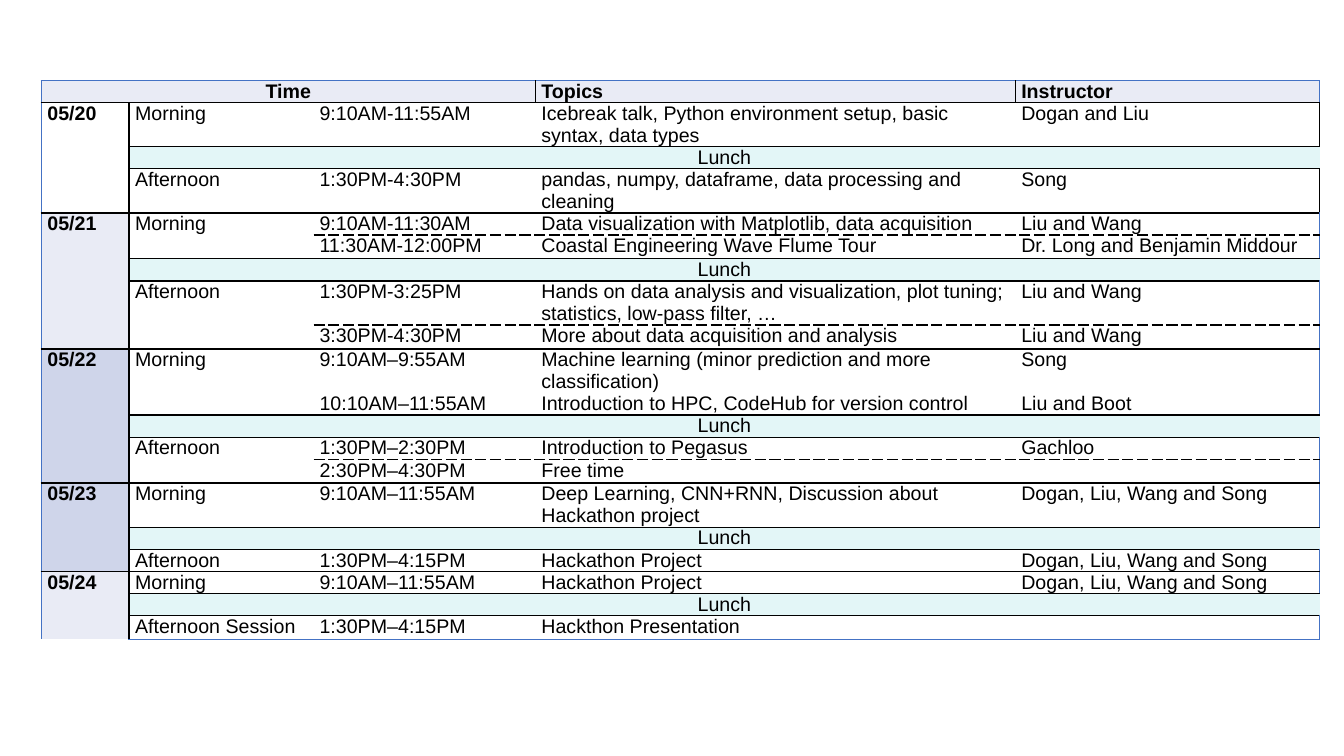
from collections import namedtuple
from math import ceil

from lxml.etree import SubElement
from pptx import Presentation
from pptx.dml.color import RGBColor
from pptx.enum.text import PP_ALIGN
from pptx.oxml.ns import qn
from pptx.util import Inches, Pt

BLACK = RGBColor(0x00, 0x00, 0x00)
WHITE = RGBColor(0xFF, 0xFF, 0xFF)
BLUE = RGBColor(0x44, 0x72, 0xC4)
PALE = RGBColor(0xE9, 0xEB, 0xF5)
LAVENDER = RGBColor(0xCF, 0xD5, 0xEA)
AQUA = RGBColor(0xE3, 0xF6, 0xF7)

FONT, SIZE = "Arial", Pt(14)
COLUMNS = [0.87, 1.83, 2.2, 4.76, 3.02]
DATE, SESSION, TIME, TOPIC, INSTRUCTOR = range(5)
LINE_HEIGHT = 0.21
TOPIC_CHARS = 52  # characters that fit on one line of the topic column
NO_STYLE = "{2D5ABB26-0587-4C30-8999-92F81FD0307C}"

Row = namedtuple("Row", "kind texts date_fill")

# date, fill of the date, morning slots, afternoon session name, afternoon slots
DAYS = [
    ("05/20", WHITE,
     [("9:10AM-11:55AM", "Icebreak talk, Python environment setup, basic syntax, data types",
       "Dogan and Liu")],
     "Afternoon",
     [("1:30PM-4:30PM", "pandas, numpy, dataframe, data processing and cleaning", "Song")]),
    ("05/21", PALE,
     [("9:10AM-11:30AM", "Data visualization with Matplotlib, data acquisition",
       "Liu and Wang"),
      ("11:30AM-12:00PM", "Coastal Engineering Wave Flume Tour",
       "Dr. Long and Benjamin Middour")],
     "Afternoon",
     [("1:30PM-3:25PM", "Hands on data analysis and visualization, plot tuning; "
       "statistics, low-pass filter, …", "Liu and Wang"),
      ("3:30PM-4:30PM", "More about data acquisition and analysis", "Liu and Wang")]),
    ("05/22", LAVENDER,
     [("9:10AM–9:55AM\n10:10AM–11:55AM",
       "Machine learning (minor prediction and more classification)\n"
       "Introduction to HPC, CodeHub for version control",
       "Song\nLiu and Boot")],
     "Afternoon",
     [("1:30PM–2:30PM", "Introduction to Pegasus", "Gachloo"),
      ("2:30PM–4:30PM", "Free time", "")]),
    ("05/23", LAVENDER,
     [("9:10AM–11:55AM", "Deep Learning, CNN+RNN, Discussion about Hackathon project",
       "Dogan, Liu, Wang and Song")],
     "Afternoon",
     [("1:30PM–4:15PM", "Hackathon Project", "Dogan, Liu, Wang and Song")]),
    ("05/24", PALE,
     [("9:10AM–11:55AM", "Hackathon Project", "Dogan, Liu, Wang and Song")],
     "Afternoon Session",
     [("1:30PM–4:15PM", "Hackthon Presentation", "")]),
]


def schedule_rows():
    """Flatten the days into table rows, with lunch between the sessions."""
    rows = [Row("header", ["Time", "", "", "Topics", "Instructor"], PALE)]
    for date, fill, morning, afternoon_name, afternoon in DAYS:
        for name, slots in (("Morning", morning), (afternoon_name, afternoon)):
            if slots is afternoon:
                rows.append(Row("lunch", ["", "Lunch", "", "", ""], fill))
            for index, slot in enumerate(slots):
                label = "" if index else name
                day = date if slots is morning and not index else ""
                rows.append(Row("more" if index else "slot", [day, label, *slot], fill))
    return rows


def line_above(rows, r, c):
    """Colour and dash of the line over a cell, or None."""
    if r in (0, len(rows)):
        return BLUE, "solid"
    if c == DATE:
        return (BLACK, "solid") if rows[r].texts[DATE] else None
    if rows[r].kind == "more":
        return None if c == SESSION else (BLACK, "sysDash")
    return BLACK, "solid"


def line_before(rows, r, c):
    """Colour and dash of the line left of a cell, or None."""
    if c == len(COLUMNS):
        return (BLACK if 1 <= r <= 3 else BLUE), "solid"
    if c == DATE:
        return BLUE, "solid"
    ruled = c >= TOPIC if rows[r].kind == "header" else c == SESSION
    return (BLACK, "solid") if ruled else None


def draw_borders(cell, rows, r, c):
    sides = {"a:lnL": line_before(rows, r, c), "a:lnR": line_before(rows, r, c + 1),
             "a:lnT": line_above(rows, r, c), "a:lnB": line_above(rows, r + 1, c)}
    properties = cell._tc.get_or_add_tcPr()
    for position, (tag, line) in enumerate(sides.items()):
        border = SubElement(properties, qn(tag), w=str(Pt(1)))
        if line:
            color, dash = line
            solid = SubElement(border, qn("a:solidFill"))
            SubElement(solid, qn("a:srgbClr"), val=str(color))
            SubElement(border, qn("a:prstDash"), val=dash)
        else:
            SubElement(border, qn("a:noFill"))
        properties.insert(position, border)


def write_cell(cell, text, bold, centred, gap):
    """Write the text; gap is the space before every later paragraph."""
    cell.margin_left = cell.margin_right = Inches(0.06)
    cell.margin_top = cell.margin_bottom = 0
    cell.text_frame.text = text
    for index, paragraph in enumerate(cell.text_frame.paragraphs):
        paragraph.alignment = PP_ALIGN.CENTER if centred else PP_ALIGN.LEFT
        if index:
            paragraph.space_before = gap
        for run in paragraph.runs:
            run.font.name, run.font.size = FONT, SIZE
            run.font.bold = bold
            run.font.color.rgb = BLACK
        if not paragraph.runs:
            SubElement(paragraph._p, qn("a:endParaRPr"), sz=str(int(SIZE.pt * 100)))


def line_count(row):
    return sum(ceil(len(topic) / TOPIC_CHARS) or 1 for topic in row.texts[TOPIC].split("\n"))


def cell_fill(row, c):
    if row.kind == "header" or c == DATE:
        return row.date_fill
    return AQUA if row.kind == "lunch" else WHITE


def merge_cells(table, rows):
    last = len(COLUMNS) - 1
    table.cell(0, DATE).merge(table.cell(0, TIME))
    for r, row in enumerate(rows):
        if row.kind == "lunch":
            table.cell(r, SESSION).merge(table.cell(r, last))
    starts = [r for r, row in enumerate(rows) if r and row.texts[DATE]]
    for start, end in zip(starts, starts[1:] + [len(rows)]):
        table.cell(start, DATE).merge(table.cell(end - 1, DATE))


def add_schedule(slide, left, top):
    rows = schedule_rows()
    heights = [LINE_HEIGHT * line_count(row) for row in rows]
    table = slide.shapes.add_table(len(rows), len(COLUMNS), left, top,
                                   Inches(sum(COLUMNS)), Inches(sum(heights))).table
    table.first_row = table.horz_banding = False
    table._tbl.tblPr.find(qn("a:tableStyleId")).text = NO_STYLE
    for column, width in zip(table.columns, COLUMNS):
        column.width = Inches(width)
    for r, row in enumerate(rows):
        table.rows[r].height = Inches(heights[r])
        for c, text in enumerate(row.texts):
            cell = table.cell(r, c)
            write_cell(cell, text,
                       bold=row.kind == "header" or c == DATE,
                       centred=text in ("Time", "Lunch"),
                       gap=Pt(0) if c == TOPIC else Pt(15.7))
            cell.fill.solid()
            cell.fill.fore_color.rgb = cell_fill(row, c)
            draw_borders(cell, rows, r, c)
    merge_cells(table, rows)


def main():
    deck = Presentation()
    deck.slide_width, deck.slide_height = Inches(13.33), Inches(7.5)
    slide = deck.slides.add_slide(deck.slide_layouts[6])
    add_schedule(slide, Inches(0.41), Inches(0.8))
    deck.save("out.pptx")


if __name__ == "__main__":
    main()
